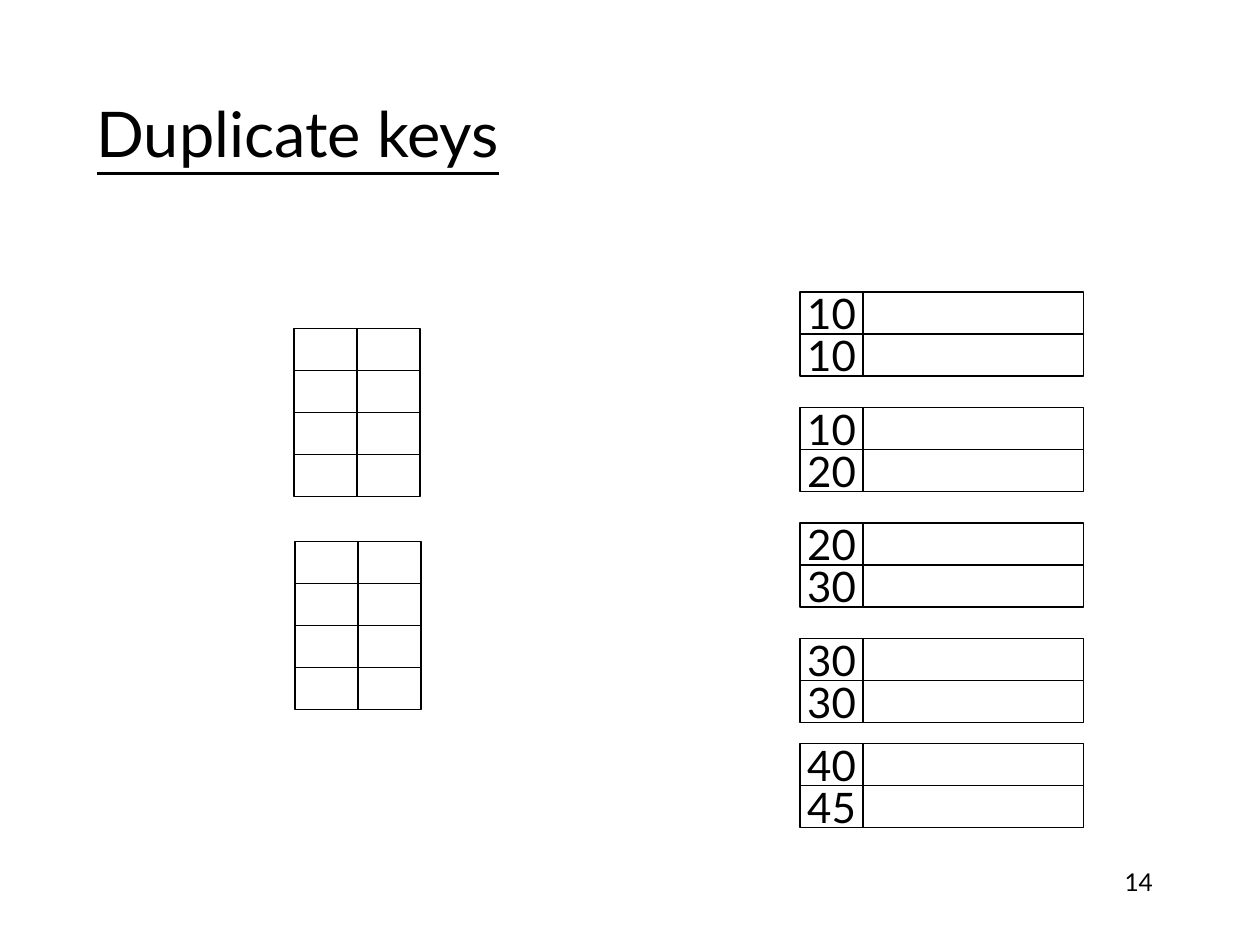
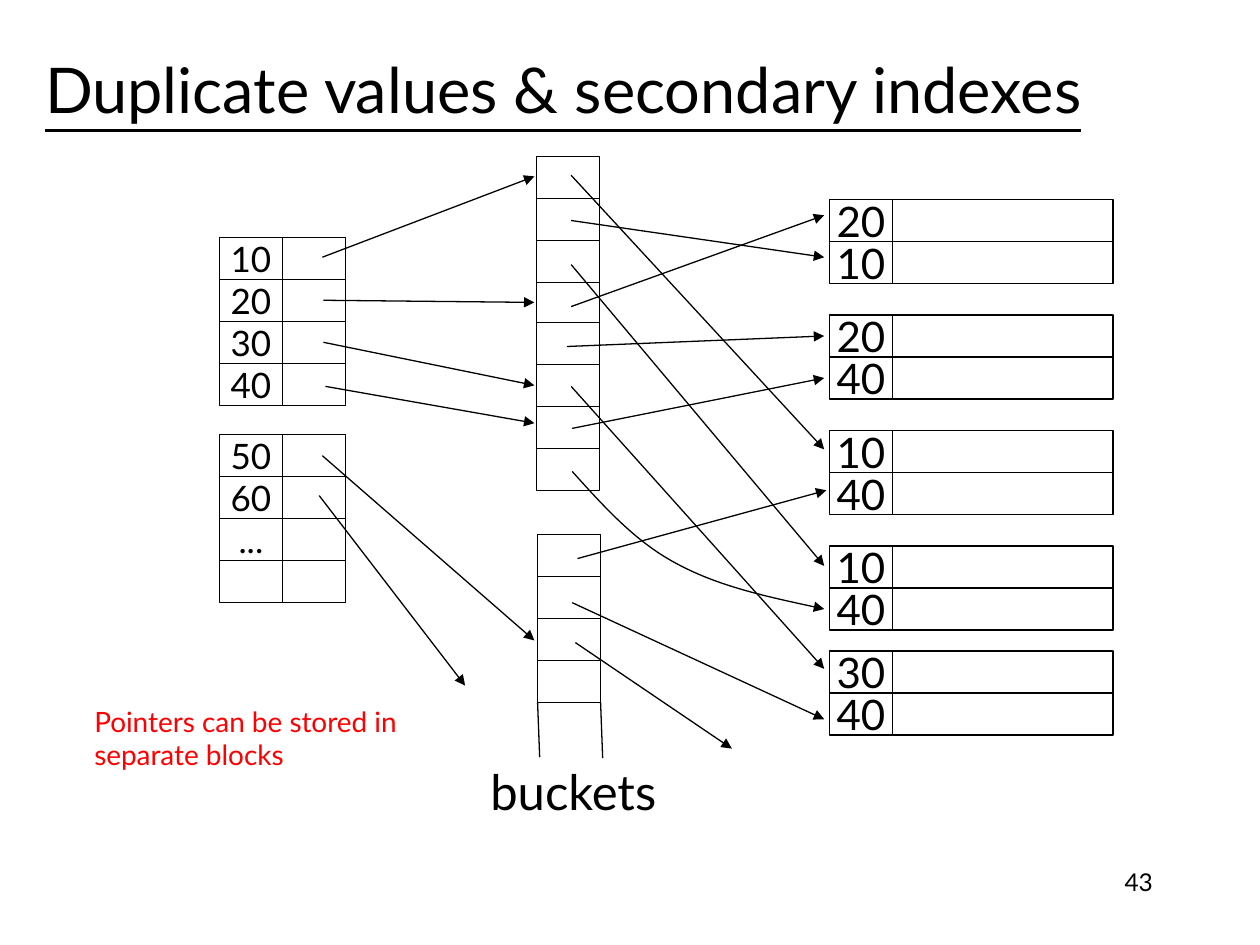
from dataclasses import dataclass

from lxml.etree import SubElement
from pptx import Presentation
from pptx.dml.color import RGBColor
from pptx.enum.shapes import MSO_CONNECTOR as Connector, MSO_SHAPE as Shape
from pptx.enum.text import MSO_ANCHOR as Anchor, MSO_AUTO_SIZE as AutoSize, PP_ALIGN as Align
from pptx.oxml.ns import qn
from pptx.util import Emu, Inches, Pt

PX = Inches(1) // 120
BLACK = RGBColor(0x00, 0x00, 0x00)
WHITE = RGBColor(0xFF, 0xFF, 0xFF)
RED = RGBColor(0xFF, 0x00, 0x00)
FONT = "Lato"
TITLE_ONLY = 5
CELL_W, CELL_H, DATA_W = 60, 40, 210
INDEX_COLS = (CELL_W, CELL_W)
RECORD_COLS = (CELL_W, DATA_W)
BUCKET_COLS = (CELL_W,)
RECORD_STEPS = (0, 110, 220, 330, 430)
EMPTY_KEYS = ("",) * 4

Point = tuple[int, int]


@dataclass(frozen=True)
class Box:
    x: int
    y: int
    w: int
    h: int

    def emu(self) -> tuple[Emu, ...]:
        return tuple(px(v) for v in (self.x, self.y, self.w, self.h))


@dataclass(frozen=True)
class Grid:
    x: int
    y: int
    widths: tuple[int, ...]
    keys: tuple[str, ...] = EMPTY_KEYS
    size: int = 20


@dataclass(frozen=True)
class Line:
    start: Point
    end: Point
    arrow: bool = True


@dataclass(frozen=True)
class Label:
    text: str
    box: Box
    size: int
    color: RGBColor = BLACK
    align: Align = Align.LEFT
    anchor: Anchor = Anchor.TOP
    wrap: bool = True


def px(value: int) -> Emu:
    return Emu(value * PX)


def set_text(tf, text: str, size: int, color: RGBColor = BLACK, align: Align = Align.LEFT,
             anchor: Anchor = Anchor.MIDDLE, wrap: bool = True, underline: bool = False) -> None:
    tf.text = text
    tf.word_wrap = wrap
    tf.auto_size = AutoSize.NONE
    tf.vertical_anchor = anchor
    for p in tf.paragraphs:
        p.alignment = align
        for r in p.runs:
            r.font.name = FONT
            r.font.size = Pt(size)
            r.font.color.rgb = color
            r.font.underline = underline


def set_line(line, arrow: bool = False) -> None:
    line.color.rgb = BLACK
    line.width = Pt(0.75)
    if arrow:
        SubElement(line._get_or_add_ln(), qn("a:tailEnd"), type="triangle")


def add_label(s, label: Label) -> None:
    sp = s.shapes.add_textbox(*label.box.emu())
    set_text(sp.text_frame, label.text, label.size, label.color,
             label.align, label.anchor, label.wrap)


def add_titled_slide(prs, title: str, box: Box, number: int):
    s = prs.slides.add_slide(prs.slide_layouts[TITLE_ONLY])
    sp = s.shapes.title
    sp.left, sp.top, sp.width, sp.height = box.emu()
    set_text(sp.text_frame, title, 36, underline=True)
    add_label(s, Label(str(number), Box(860, 820, 250, 60), 14, align=Align.RIGHT))
    return s


def add_grid(s, grid: Grid) -> None:
    group = s.shapes.add_group_shape()
    for row, key in enumerate(grid.keys):
        for col, width in enumerate(grid.widths):
            box = Box(grid.x + sum(grid.widths[:col]), grid.y + row * CELL_H, width, CELL_H)
            sp = group.shapes.add_shape(Shape.RECTANGLE, *box.emu())
            sp.shadow.inherit = False
            sp.fill.solid()
            sp.fill.fore_color.rgb = WHITE
            set_line(sp.line)
            if col == 0 and key:
                set_text(sp.text_frame, key, grid.size, align=Align.CENTER, wrap=False)


def add_records(s, x: int, y: int, pairs: list[tuple[str, str]]) -> None:
    for step, pair in zip(RECORD_STEPS, pairs):
        add_grid(s, Grid(x, y + step, RECORD_COLS, pair, 24))


def add_line(s, line: Line) -> None:
    ends = [px(v) for v in line.start + line.end]
    cxn = s.shapes.add_connector(Connector.STRAIGHT, *ends)
    set_line(cxn.line, line.arrow)
    SubElement(cxn._element.spPr, qn("a:effectLst"))


def add_curve(s, points: list[Point]) -> None:
    builder = s.shapes.build_freeform(*points[0], scale=PX)
    builder.add_line_segments(points[1:], close=False)
    sp = builder.convert_to_shape()
    sp.fill.background()
    set_line(sp.line, arrow=True)
    sp.shadow.inherit = False
    segments = list(sp._element.iter(qn("a:lnTo")))
    for i in range(0, len(segments), 3):
        bezier = SubElement(segments[i].getparent(), qn("a:cubicBezTo"))
        for segment in segments[i:i + 3]:
            bezier.append(segment[0])
            segment.getparent().remove(segment)


def build_duplicate_keys(prs) -> None:
    s = add_titled_slide(prs, "Duplicate keys", Box(80, 80, 440, 92), 14)
    add_records(s, 762, 278, [("10", "10"), ("10", "20"), ("20", "30"),
                              ("30", "30"), ("40", "45")])
    for x, y in [(280, 313), (281, 516)]:
        add_grid(s, Grid(x, y, INDEX_COLS))


def build_secondary_indexes(prs) -> None:
    s = add_titled_slide(prs, "Duplicate values & secondary indexes",
                         Box(31, 25, 1040, 119), 43)
    add_records(s, 790, 190, [("20", "10"), ("20", "40"), ("10", "40"),
                              ("10", "40"), ("30", "40")])
    for y, keys in [(226, ("10", "20", "30", "40")), (414, ("50", "60", "...", ""))]:
        add_grid(s, Grid(209, y, INDEX_COLS, keys))
    for x, y in [(511, 149), (511, 307), (512, 509)]:
        add_grid(s, Grid(x, y, BUCKET_COLS))

    bucket_sides = [
        Line((512, 669), (514, 721), arrow=False),
        Line((572, 669), (574, 722), arrow=False),
    ]
    index_pointers = [
        Line((307, 245), (509, 168)),
        Line((308, 286), (509, 288)),
        Line((308, 326), (509, 367)),
        Line((310, 368), (509, 403)),
        Line((307, 434), (509, 610)),
        Line((304, 472), (443, 653)),
    ]
    record_pointers = [
        Line((544, 210), (785, 245)),
        Line((544, 167), (785, 428)),
        Line((544, 252), (785, 539)),
        Line((544, 292), (785, 205)),
        Line((540, 330), (785, 320)),
        Line((544, 368), (785, 637)),
        Line((545, 408), (785, 360)),
        Line((545, 574), (785, 685)),
        Line((550, 532), (787, 467)),
        Line((548, 612), (697, 713)),
    ]
    for line in bucket_sides + index_pointers + record_pointers:
        add_line(s, line)
    add_curve(s, [(545, 449), (574, 481), (604, 515), (643, 536),
                  (683, 558), (734, 569), (785, 580)])

    add_label(s, Label("buckets", Box(455, 719, 182, 68), 28, align=Align.CENTER,
                       anchor=Anchor.MIDDLE, wrap=False))
    add_label(s, Label("Pointers can be stored in separate blocks",
                       Box(78, 665, 331, 77), 16, RED))


def main() -> None:
    prs = Presentation()
    prs.slide_width, prs.slide_height = px(1200), px(900)
    build_duplicate_keys(prs)
    build_secondary_indexes(prs)
    prs.save("out.pptx")


if __name__ == "__main__":
    main()
